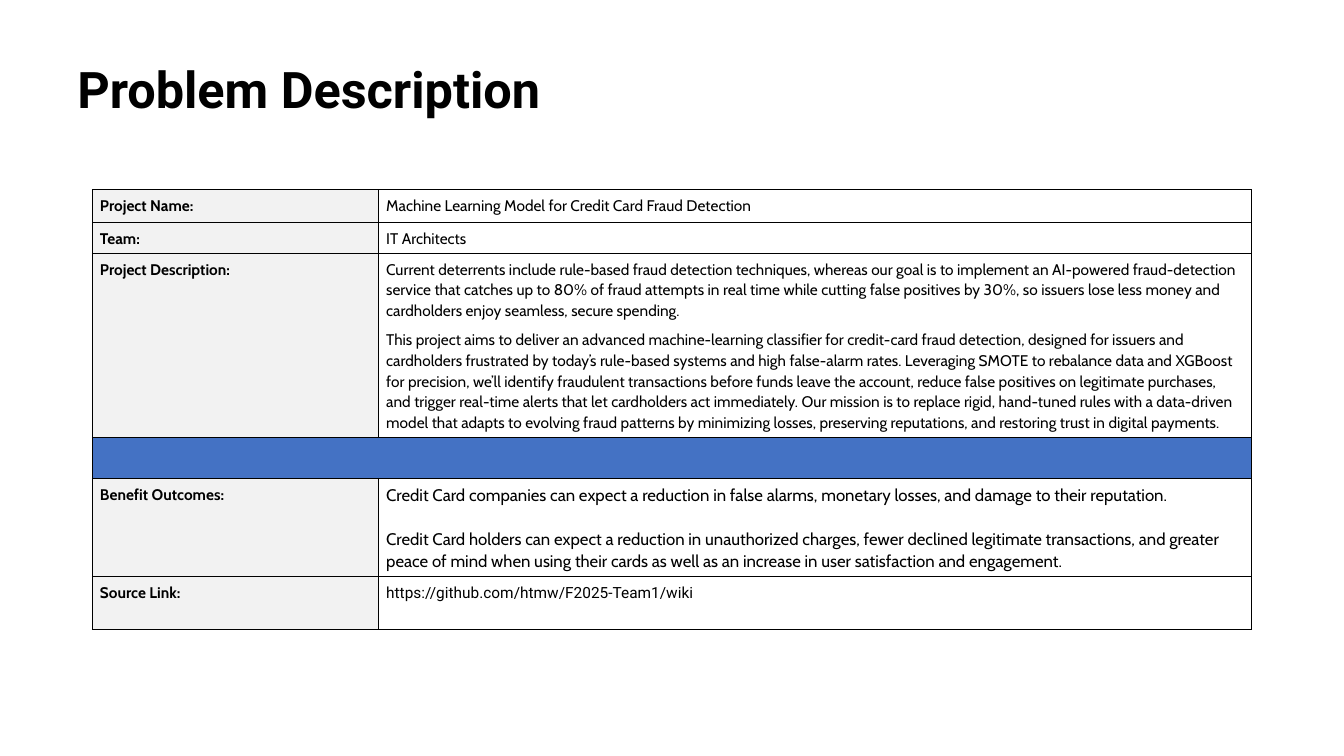
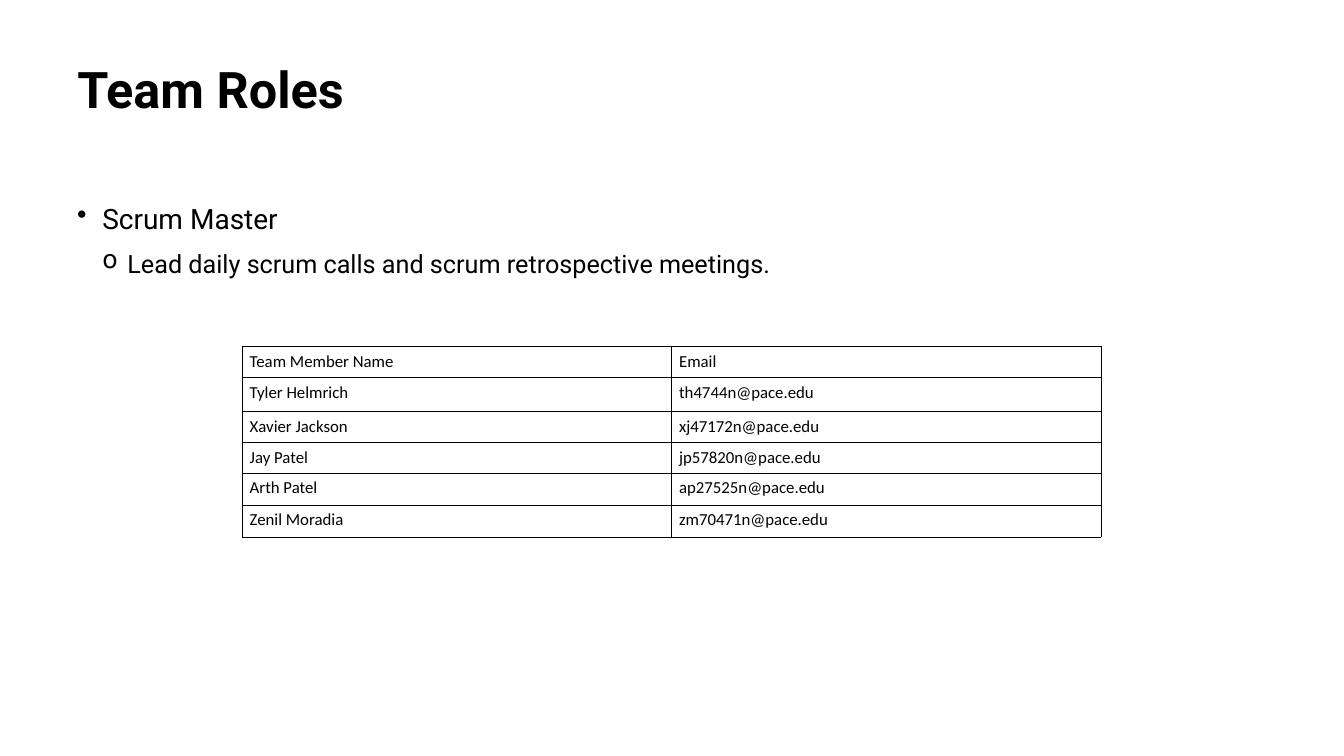
from dataclasses import dataclass
from lxml.etree import SubElement
from pptx import Presentation
from pptx.dml.color import RGBColor as Rgb
from pptx.enum.text import MSO_ANCHOR as Anchor, MSO_AUTO_SIZE as AutoSize, PP_ALIGN as Align
from pptx.oxml.ns import qn
from pptx.util import Pt


@dataclass(frozen=True)
class Theme:
    ink: Rgb = Rgb(0, 0, 0)
    paper: Rgb = Rgb(255, 255, 255)
    label: Rgb = Rgb(0xF2, 0xF2, 0xF2)
    band: Rgb = Rgb(0x44, 0x72, 0xC4)
    heading_font: str = "Roboto"
    project_font: str = "Cabin"
    member_font: str = "Calibri"
    title_size: float = 36
    role_size: float = 20
    duty_size: float = 18
    large_size: float = 12
    small_size: float = 11
    large_line: Pt = Pt(15.7)
    small_line: Pt = Pt(14.8)


theme = Theme()


def write(frame, text, *, size, font=theme.heading_font, bold=False,
          spacing=1.0, before=0, bullet=None, level=0):
    """Add one paragraph; the first one in a frame gets no space before."""
    first = not frame.text
    paragraph = frame.paragraphs[0] if first else frame.add_paragraph()
    paragraph.alignment = Align.LEFT
    paragraph.level = level
    paragraph.line_spacing = spacing
    paragraph.space_before = Pt(0 if first else before)
    if bullet:
        properties = paragraph._p.get_or_add_pPr()
        properties.set("marL", str(Pt(18 * (level + 1))))
        properties.set("indent", str(Pt(-18)))
        SubElement(properties, qn("a:buChar"), char=bullet)
    run = paragraph.add_run()
    run.text = text
    run.font.size = Pt(size)
    run.font.name = font
    run.font.bold = bold
    run.font.color.rgb = theme.ink


def add_grid(slide, left, top, widths, heights, border):
    """Add a plain white table with black borders on every cell."""
    grid = slide.shapes.add_table(len(heights), len(widths), Pt(left), Pt(top),
                                  Pt(sum(widths)), Pt(sum(heights))).table
    grid.first_row = grid.horz_banding = False
    for column, width in zip(grid.columns, widths):
        column.width = Pt(width)
    for row, height in zip(grid.rows, heights):
        row.height = Pt(height)
    for cell in grid.iter_cells():
        cell.margin_left = cell.margin_right = Pt(5.4)
        cell.margin_top = cell.margin_bottom = Pt(3.6)
        for side in ("lnL", "lnR", "lnT", "lnB"):
            line = SubElement(cell._tc.get_or_add_tcPr(), qn(f"a:{side}"), w=str(Pt(border)))
            SubElement(SubElement(line, qn("a:solidFill")), qn("a:srgbClr"), val=str(theme.ink))
        cell.fill.solid()
        cell.fill.fore_color.rgb = theme.paper
    return grid


deck = Presentation()
deck.slide_width, deck.slide_height = Pt(960), Pt(540)

# Slides and their titles
slides = []
for heading in ("Problem Description", "Team Roles"):
    slide = deck.slides.add_slide(deck.slide_layouts[5])
    title = slide.shapes.title
    title.left, title.top, title.width, title.height = Pt(48), Pt(43), Pt(839), Pt(89)
    title.text_frame.vertical_anchor = Anchor.TOP
    title.text_frame.auto_size = AutoSize.NONE
    write(title.text_frame, heading, size=theme.title_size, bold=True, spacing=0.9)
    slides.append(slide)
problem_slide, roles_slide = slides

# Project table: height, label, paragraphs, format of the paragraphs
small = dict(size=theme.small_size, font=theme.project_font, spacing=theme.small_line, before=6)
large = dict(size=theme.large_size, font=theme.project_font, spacing=theme.large_line, before=15.7)
project_rows = [
    (23.4, "Project Name:", ["Machine Learning Model for Credit Card Fraud Detection"], small),
    (22, "Team:", ["IT Architects"], small),
    (131.6, "Project Description:", [
        "Current deterrents include rule-based fraud detection techniques, whereas our goal is to "
        "implement an AI-powered fraud-detection service that catches up to 80% of fraud attempts "
        "in real time while cutting false positives by 30%, so issuers lose less money and "
        "cardholders enjoy seamless, secure spending.",
        "This project aims to deliver an advanced machine-learning classifier for credit-card "
        "fraud detection, designed for issuers and cardholders frustrated by today’s rule-based "
        "systems and high false-alarm rates. Leveraging SMOTE to rebalance data and XGBoost for "
        "precision, we’ll identify fraudulent transactions before funds leave the account, reduce "
        "false positives on legitimate purchases, and trigger real-time alerts that let "
        "cardholders act immediately. Our mission is to replace rigid, hand-tuned rules with a "
        "data-driven model that adapts to evolving fraud patterns by minimizing losses, "
        "preserving reputations, and restoring trust in digital payments."], small),
    (22.9, None, [], small),
    (70, "Benefit Outcomes:", [
        "Credit Card companies can expect a reduction in false alarms, monetary losses, and "
        "damage to their reputation.",
        "Credit Card holders can expect a reduction in unauthorized charges, fewer declined "
        "legitimate transactions, and greater peace of mind when using their cards as well as an "
        "increase in user satisfaction and engagement."], large),
    (37.7, "Source Link:", ["https://github.com/htmw/F2025-Team1/wiki"],
     small | dict(font=theme.heading_font)),
]
project = add_grid(problem_slide, 66, 135.4, [204.5, 623.5], [row[0] for row in project_rows], 0.75)
for index, (_, label, paragraphs, style) in enumerate(project_rows):
    name_cell, detail_cell = project.cell(index, 0), project.cell(index, 1)
    name_cell.fill.fore_color.rgb = theme.label if label else theme.band
    if label:
        write(name_cell.text_frame, label, bold=True, **small)
    else:
        # Blue divider; a fixed line height keeps the empty row low
        name_cell.merge(detail_cell)
        for cell in (name_cell, detail_cell):
            cell.text_frame.paragraphs[0].line_spacing = theme.small_line
    for text in paragraphs:
        write(detail_cell.text_frame, text, **style)

# Role and its duty
roles = roles_slide.shapes.add_textbox(Pt(48), Pt(135.4), Pt(839), Pt(90)).text_frame
roles.word_wrap = True
write(roles, "Scrum Master", size=theme.role_size, spacing=1.2, bullet="•")
write(roles, "Lead daily scrum calls and scrum retrospective meetings.",
      size=theme.duty_size, spacing=1.2, before=5, bullet="o", level=1)

# Team members
members = [
    (22, "Team Member Name", "Email"),
    (24.3, "Tyler Helmrich", "th4744n@pace.edu"),
    (22, "Xavier Jackson", "xj47172n@pace.edu"),
    (21.9, "Jay Patel", "jp57820n@pace.edu"),
    (22.9, "Arth Patel", "ap27525n@pace.edu"),
    (22.9, "Zenil Moradia", "zm70471n@pace.edu"),
]
team = add_grid(roles_slide, 173, 247.6, [306.7] * 2, [row[0] for row in members], 0.5)
for index, (_, *entries) in enumerate(members):
    for column, entry in enumerate(entries):
        write(team.cell(index, column).text_frame, entry,
              size=theme.large_size, font=theme.member_font)

deck.save("out.pptx")
